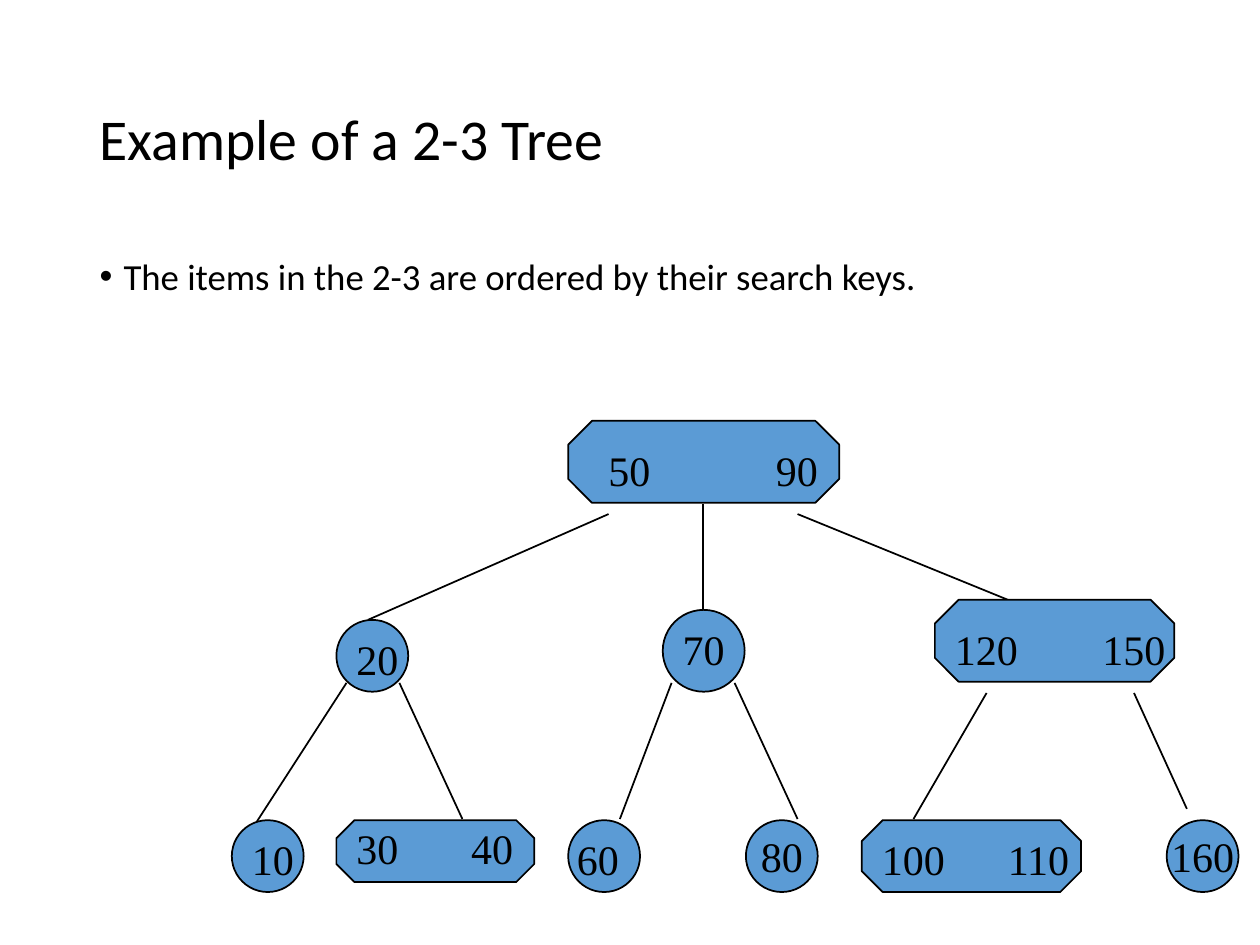
from dataclasses import dataclass

import pptx
import pptx.dml.color
import pptx.enum.shapes
import pptx.enum.text
import pptx.oxml.ns
import pptx.util
from lxml import etree

Inches = pptx.util.Inches
Pt = pptx.util.Pt
BLACK = pptx.dml.color.RGBColor(0x00, 0x00, 0x00)
NODE_BLUE = pptx.dml.color.RGBColor(0x5B, 0x9B, 0xD5)
ELLIPSE = pptx.enum.shapes.MSO_SHAPE.OVAL
OCTAGON = pptx.enum.shapes.MSO_SHAPE.OCTAGON
ANCHOR = pptx.enum.text.MSO_ANCHOR
ALIGN = pptx.enum.text.PP_ALIGN
DIGIT_WIDTH = 0.17
INSET = 0.1


@dataclass
class Node:
    keys: tuple[str, ...]
    left: float
    top: float
    width: float
    height: float
    label_dx: float = 0.06
    label_dy: float = 0.06
    key_gap: float = 0
    centred: bool = False


@dataclass
class Branch:
    x1: float
    y1: float
    x2: float
    y2: float


NODES = [
    Node(("50", "90"), 4.51, 3.34, 2.15, 0.65, label_dx=0.22, label_dy=0.14, key_gap=1.33),
    Node(("20",), 2.67, 4.92, 0.57, 0.57),
    Node(("70",), 5.26, 4.84, 0.65, 0.65),
    Node(("120", "150"), 7.42, 4.76, 1.9, 0.65, label_dy=0.14, key_gap=1.17),
    Node(("10",), 1.84, 6.51, 0.57, 0.57),
    Node(("30", "40"), 2.67, 6.51, 1.57, 0.49, label_dy=-0.03, key_gap=0.91),
    Node(("60",), 4.51, 6.51, 0.57, 0.57, label_dx=-0.03),
    Node(("80",), 5.92, 6.51, 0.57, 0.57, centred=True),
    Node(("100", "110"), 6.84, 6.51, 1.74, 0.57, key_gap=1),
    Node(("160",), 9.26, 6.51, 0.57, 0.57, centred=True),
]

BRANCHES = [
    Branch(4.83, 4.08, 2.92, 4.92),
    Branch(5.58, 4, 5.58, 4.92),
    Branch(6.33, 4.08, 8.17, 4.83),
    Branch(2.75, 5.42, 2, 6.58),
    Branch(3.17, 5.42, 3.67, 6.5),
    Branch(5.33, 5.42, 4.92, 6.5),
    Branch(5.83, 5.42, 6.33, 6.5),
    Branch(7.83, 5.5, 7.25, 6.5),
    Branch(9, 5.5, 9.42, 6.42),
]


def add_text(paragraph, text: str, size: float, font: str) -> None:
    run = paragraph.add_run()
    run.text = text
    run.font.size = Pt(size)
    run.font.name = font
    run.font.color.rgb = BLACK


def place(placeholder, left: float, top: float, width: float, height: float) -> None:
    placeholder.left, placeholder.top = Inches(left), Inches(top)
    placeholder.width, placeholder.height = Inches(width), Inches(height)
    placeholder.text_frame.auto_size = pptx.enum.text.MSO_AUTO_SIZE.NONE


def add_branch(slide, branch: Branch) -> None:
    line = slide.shapes.add_connector(
        pptx.enum.shapes.MSO_CONNECTOR.STRAIGHT,
        Inches(branch.x1), Inches(branch.y1), Inches(branch.x2), Inches(branch.y2),
    )
    line.line.color.rgb = BLACK
    line.line.width = Pt(1)
    etree.SubElement(line.element.spPr, pptx.oxml.ns.qn("a:effectLst"))


def add_node(slide, node: Node) -> None:
    outline = slide.shapes.add_shape(
        OCTAGON if len(node.keys) > 1 else ELLIPSE,
        Inches(node.left), Inches(node.top), Inches(node.width), Inches(node.height),
    )
    outline.shadow.inherit = False
    outline.fill.solid()
    outline.fill.fore_color.rgb = NODE_BLUE
    outline.line.color.rgb = BLACK
    outline.line.width = Pt(1)
    if len(node.keys) > 1:
        outline.adjustments[0] = 0.29
    if node.centred:
        frame = outline.text_frame
        frame.word_wrap = False
        frame.vertical_anchor = ANCHOR.MIDDLE
        frame.paragraphs[0].alignment = ALIGN.CENTER
        add_text(frame.paragraphs[0], node.keys[0], 24, "Times New Roman")


def add_label(slide, node: Node) -> None:
    width = node.key_gap + len(node.keys[-1]) * DIGIT_WIDTH + 2 * INSET
    label = slide.shapes.add_textbox(
        Inches(node.left + node.label_dx), Inches(node.top + node.label_dy),
        Inches(width), Inches(0.5),
    )
    label.text_frame.word_wrap = True
    label.text_frame.margin_right = 0
    paragraph = label.text_frame.paragraphs[0]
    if node.key_gap:
        stops = etree.SubElement(
            paragraph._p.get_or_add_pPr(), pptx.oxml.ns.qn("a:tabLst"))
        etree.SubElement(
            stops, pptx.oxml.ns.qn("a:tab"), pos=str(Inches(node.key_gap)), algn="l")
    for position, key in enumerate(node.keys):
        add_text(paragraph, "\t" + key if position else key, 24, "Times New Roman")


def add_heading(slide) -> None:
    title = slide.shapes.title
    place(title, 0.69, 0.4, 8.63, 1.45)
    title.text_frame.vertical_anchor = ANCHOR.MIDDLE
    heading = title.text_frame.paragraphs[0]
    heading.alignment = ALIGN.LEFT
    heading.line_spacing = 0.9
    add_text(heading, "Example of a 2-3 Tree", 33, "Calibri")


def add_body(slide) -> None:
    body = slide.placeholders[1]
    place(body, 0.69, 2, 8.63, 4.76)
    point = body.text_frame.paragraphs[0]
    point.line_spacing = 0.9
    point.space_before = Pt(7.5)
    properties = point._p.get_or_add_pPr()
    properties.set("marL", str(Inches(0.19)))
    properties.set("indent", str(-Inches(0.19)))
    etree.SubElement(properties, pptx.oxml.ns.qn("a:buChar"), char="•")
    add_text(point, "The items in the 2-3 are ordered by their search keys.", 21, "Calibri")


def main() -> None:
    deck = pptx.Presentation()
    deck.slide_width, deck.slide_height = Inches(10), Inches(7.5)
    slide = deck.slides.add_slide(deck.slide_layouts[1])
    add_heading(slide)
    add_body(slide)
    for branch in BRANCHES:
        add_branch(slide, branch)
    for node in NODES:
        add_node(slide, node)
        if not node.centred:
            add_label(slide, node)
    deck.save("out.pptx")


if __name__ == "__main__":
    main()
